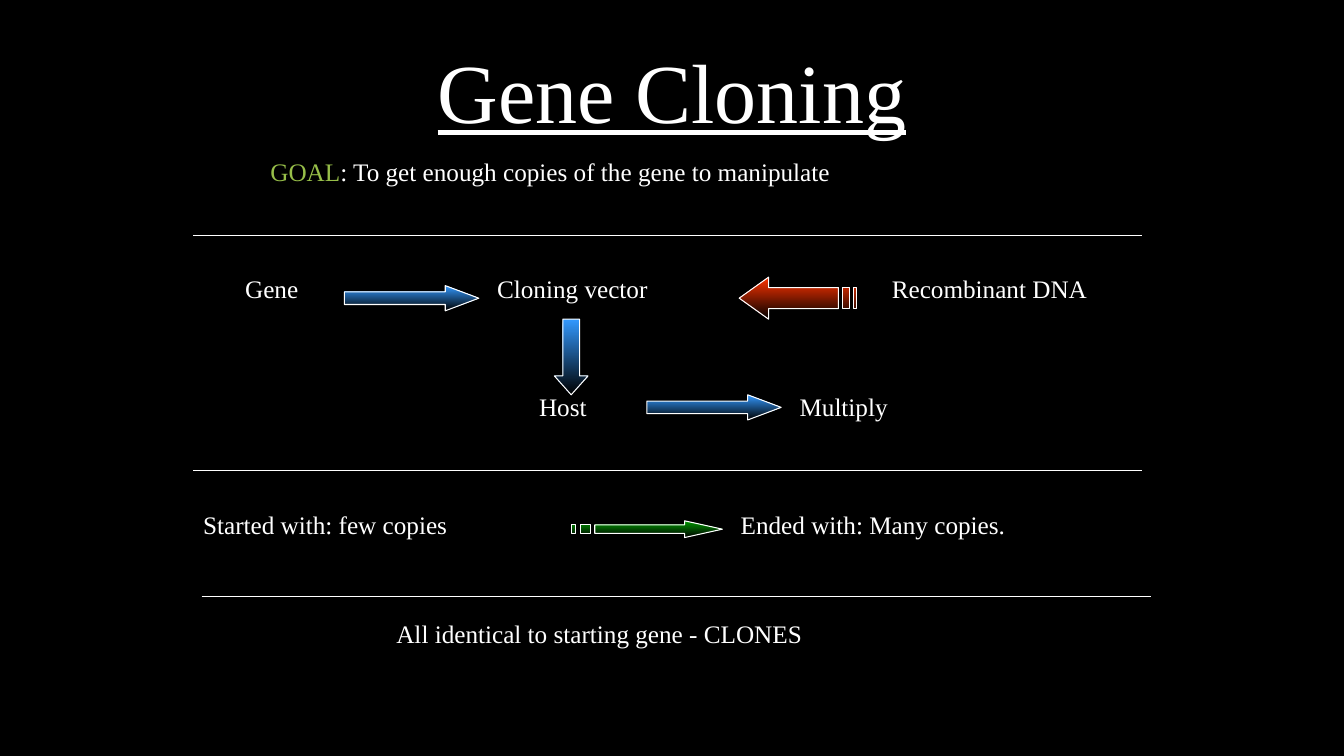
import pptx
import pptx.dml.color
import pptx.enum.shapes
import pptx.enum.text
import pptx.oxml
import pptx.oxml.ns
import pptx.util

COLUMNS, ROWS = 160, 90
CELL = pptx.util.Inches(1) // 12
RIGHT_ARROW = pptx.enum.shapes.MSO_SHAPE.RIGHT_ARROW
DOWN_ARROW = pptx.enum.shapes.MSO_SHAPE.DOWN_ARROW


def colour(value):
    return pptx.dml.color.RGBColor.from_string(value)


class Slide:
    font = "Times New Roman"
    ink = "FFFFFF"
    accent = "97BE49"
    blue, red, green = "3399FF", "FF3300", "009900"
    background = "000000"
    text_size = 18
    title_size = 60
    line_width = 0.75
    stripes = [
        [(24, 0), (24, 1), (5, 1), (5, 3), (24, 3), (24, 4), (32, 2)],
        [(2, 1), (2, 3), (4, 3), (4, 1)],
        [(0, 1), (0, 3), (1, 3), (1, 1)],
    ]

    def __init__(self, deck):
        self.page = deck.slides.add_slide(deck.slide_layouts[5])
        fill = self.page.background.fill
        fill.solid()
        fill.fore_color.rgb = colour(self.background)

    def cells(self, *counts):
        return [round(count * CELL) for count in counts]

    def format_span(self, span, size, shade):
        span.font.name = self.font
        span.font.size = pptx.util.Pt(size)
        span.font.color.rgb = colour(shade)

    def format_frame(self, frame):
        frame.word_wrap = False
        frame.auto_size = pptx.enum.text.MSO_AUTO_SIZE.SHAPE_TO_FIT_TEXT
        frame.vertical_anchor = pptx.enum.text.MSO_ANCHOR.TOP

    def title(self, text, row, width, height):
        box = self.page.shapes.title
        left = (COLUMNS - width) / 2
        box.left, box.top, box.width, box.height = self.cells(left, row, width, height)
        box.text_frame.text = text
        self.format_frame(box.text_frame)
        para = box.text_frame.paragraphs[0]
        para.alignment = pptx.enum.text.PP_ALIGN.CENTER
        self.format_span(para.runs[0], self.title_size, self.ink)
        para.runs[0].font.underline = True

    def label(self, text, column, row, width, lead=""):
        box = self.page.shapes.add_textbox(*self.cells(column, row, width, 4.85))
        self.format_frame(box.text_frame)
        para = box.text_frame.paragraphs[0]
        para.text = lead or text
        self.format_span(para.runs[0], self.text_size, self.accent if lead else self.ink)
        if lead:
            span = para.add_run()
            span.text = text
            self.format_span(span, self.text_size, self.ink)

    def paint(self, shape, shade):
        shape.shadow.inherit = False
        shape.fill.gradient()
        shape.fill.gradient_angle = 270
        for stop, position, value in zip(
            shape.fill.gradient_stops, (0, 1), (shade, self.background)
        ):
            stop.position = position
            stop.color.rgb = colour(value)
        self.outline(shape.line)

    def outline(self, line):
        line.color.rgb = colour(self.ink)
        line.width = pptx.util.Pt(self.line_width)

    def arrow(self, kind, column, row, width, height, head):
        shape = self.page.shapes.add_shape(kind, *self.cells(column, row, width, height))
        shape.adjustments[0] = 0.5
        shape.adjustments[1] = head
        self.paint(shape, self.blue)

    def striped_arrow(self, column, row, width, height, shade, leftward=False):
        outlines = [
            [(32 - x if leftward else x, y) for x, y in points]
            for points in self.stripes
        ]
        scale = (width * CELL / 32, height * CELL / 4)
        builder = self.page.shapes.build_freeform(*outlines[0][0], scale=scale)
        for points in outlines:
            builder.move_to(*points[0])
            builder.add_line_segments(points[1:], close=True)
        self.paint(builder.convert_to_shape(*self.cells(column, row)), shade)

    def rule(self, column, row, width=113):
        line = self.page.shapes.add_connector(
            pptx.enum.shapes.MSO_CONNECTOR.STRAIGHT,
            *self.cells(column, row, column + width, row),
        )
        self.outline(line.line)
        properties = line._element.spPr
        properties.append(pptx.oxml.parse_xml(
            "<a:effectLst %s/>" % pptx.oxml.ns.nsdecls("a")
        ))


def main():
    deck = pptx.Presentation()
    deck.slide_width, deck.slide_height = COLUMNS * CELL, ROWS * CELL
    slide = Slide(deck)

    slide.title("Gene Cloning", 4.1, 58.8, 13.3)
    slide.label(
        ": To get enough copies of the gene to manipulate", 31, 18, 69.7, lead="GOAL"
    )
    for text, column, row, width in [
        ("Gene", 28, 32, 8.8),
        ("Cloning vector", 58, 32, 20.5),
        ("Recombinant DNA", 105, 32, 25.9),
        ("Host", 63, 46, 8.2),
        ("Multiply", 94, 46, 13.1),
        ("Started with: few copies", 23, 60, 31.8),
        ("Ended with: Many copies.", 87, 60, 34.2),
        ("All identical to starting gene - CLONES", 46, 73, 51.2),
    ]:
        slide.label(text, column, row, width)

    for column, row in [(41, 34), (77, 47)]:
        slide.arrow(RIGHT_ARROW, column, row, 16, 3, 1.33)
    slide.arrow(DOWN_ARROW, 66, 38, 4, 9, 0.56)
    slide.striped_arrow(88, 33, 14, 5, slide.red, leftward=True)
    slide.striped_arrow(68, 62, 18, 2, slide.green)

    for column, row in [(23, 28), (23, 56), (24, 71)]:
        slide.rule(column, row)

    deck.save("out.pptx")


if __name__ == "__main__":
    main()
